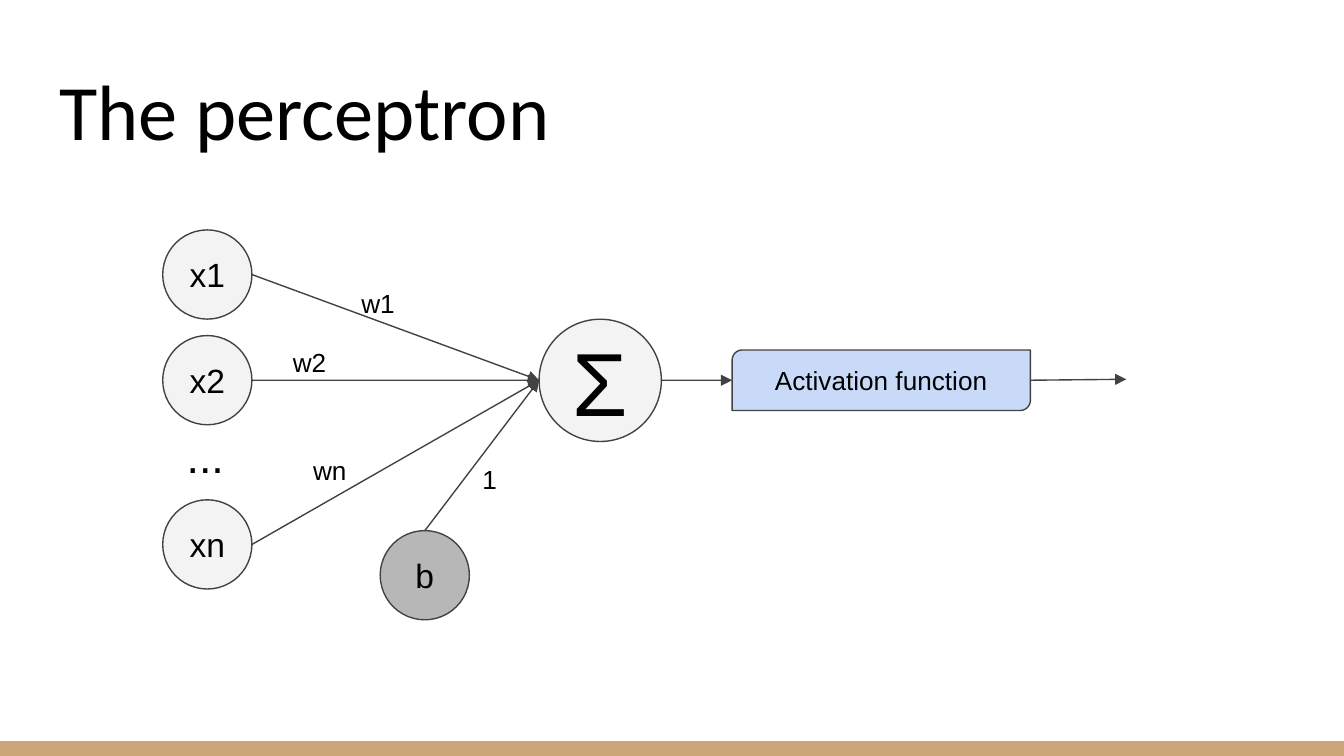
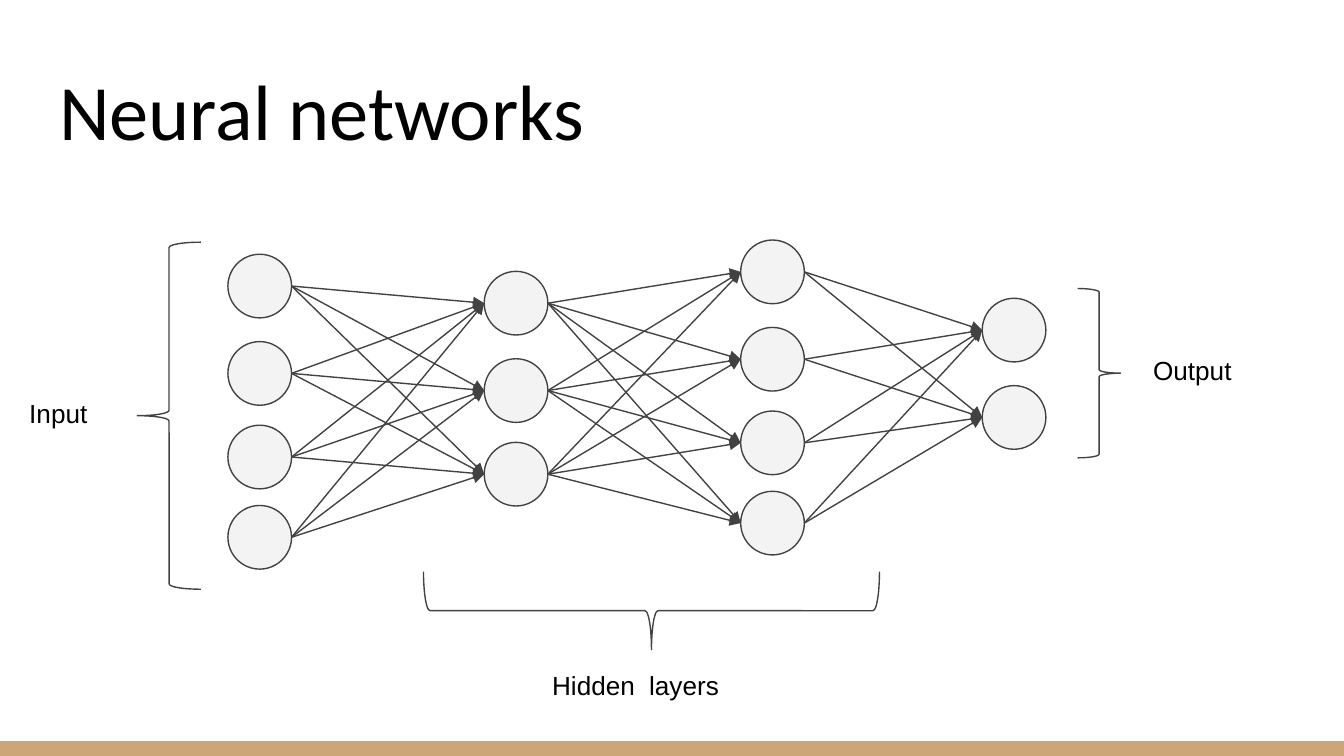
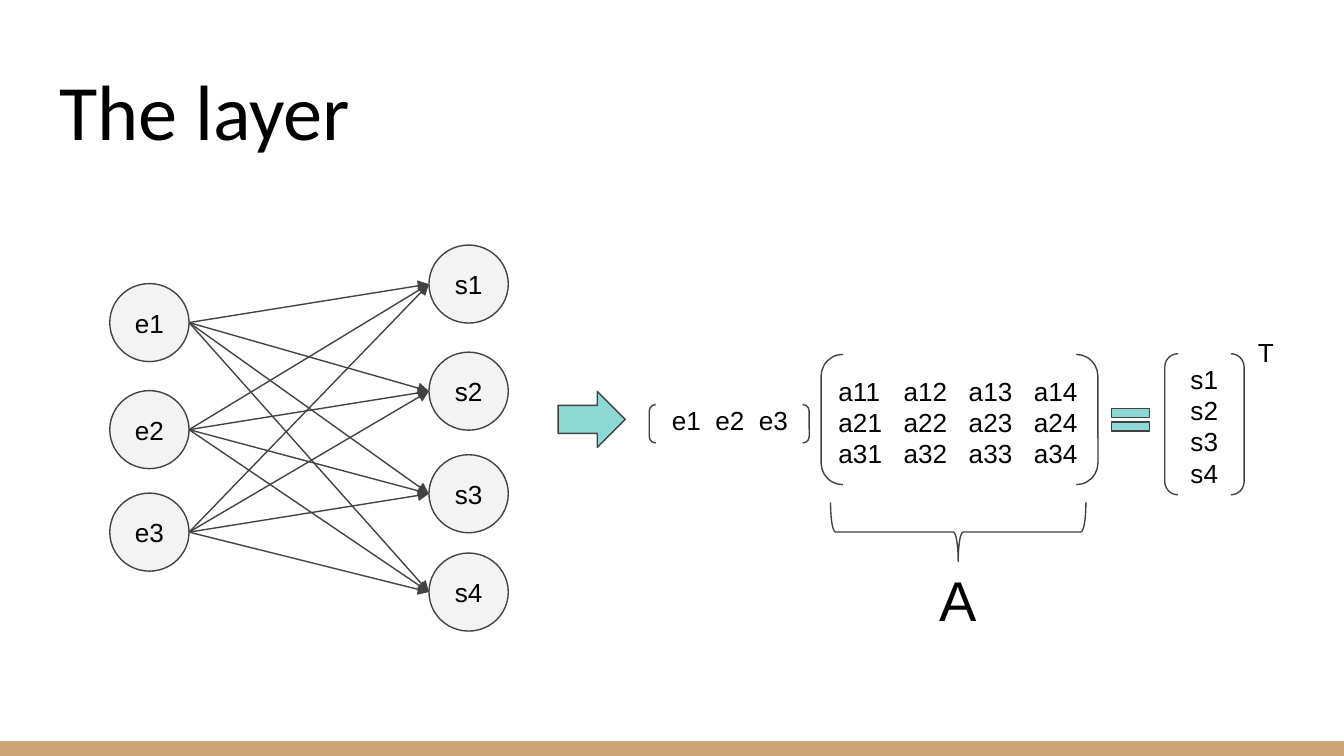
from dataclasses import dataclass
from itertools import pairwise, product
from typing import Any, Optional, Union

import lxml.etree
import pptx
import pptx.dml.color
import pptx.enum.shapes
import pptx.enum.text
import pptx.oxml.ns
import pptx.presentation
import pptx.shapes.autoshape
import pptx.shapes.shapetree
import pptx.slide
import pptx.text.text
import pptx.util

Pt = pptx.util.Pt
Preset = pptx.enum.shapes.MSO_SHAPE
Anchor = pptx.enum.text.MSO_ANCHOR
Align = pptx.enum.text.PP_ALIGN
qn = pptx.oxml.ns.qn
Canvas = Union[pptx.shapes.shapetree.SlideShapes, pptx.shapes.shapetree.GroupShapes]
Point = tuple[float, float]


@dataclass(frozen=True)
class Theme:
    ink: str = "000000"
    outline: str = "424242"
    band: str = "CCA677"
    node: str = "F3F3F3"
    bias: str = "B7B7B7"
    activation: str = "C9DAF8"
    accent: str = "8DD8D3"
    title_font: str = "Calibri"
    text_font: str = "Arial"
    title_size: float = 42
    label_size: float = 14
    input_size: float = 18
    dots_size: float = 24
    matrix_name_size: float = 30
    sum_size: float = 48
    line_width: float = 0.75
    inset: float = 7.2


THEME = Theme()
SLIDE_WIDTH, SLIDE_HEIGHT = 720, 405
BAND_HEIGHT = 7.9
TITLE_BOX = {"left": 24.5, "top": 25.2, "width": 671, "height": 65.5}
NODE_STEPS = (0, 46.8, 91.6, 134.6)  # offsets of stacked nodes at scale 1


@dataclass(frozen=True)
class Box:
    """A preset shape, with a text if it has one."""
    preset: Any
    left: float
    top: float
    width: float
    height: float
    fill: Optional[str] = None
    text: str = ""
    size: float = THEME.label_size
    rotation: float = 0

    @property
    def middle(self) -> float:
        return self.top + self.height / 2

    @property
    def left_side(self) -> Point:
        return self.left, self.middle

    @property
    def right_side(self) -> Point:
        return self.left + self.width, self.middle

    @property
    def top_side(self) -> Point:
        return self.left + self.width / 2, self.top


@dataclass(frozen=True)
class Label:
    """Free text; column_pitch sets the tab stops between columns."""
    text: str
    left: float
    top: float
    width: float
    height: float
    size: float = THEME.label_size
    column_pitch: float = 0


@dataclass(frozen=True)
class Layer:
    """A column of network nodes."""
    left: float
    top: float
    count: int
    width: float = 34.1
    height: float = 34.1
    scale: float = 1
    prefix: str = ""

    def nodes(self) -> list[Box]:
        return [
            Box(Preset.OVAL, self.left, self.top + step * self.scale, self.width, self.height,
                THEME.node, f"{self.prefix}{number}" if self.prefix else "")
            for number, step in enumerate(NODE_STEPS[:self.count], start=1)
        ]


def set_format(target: Any, values: dict[str, Any]) -> None:
    for name, value in values.items():
        setattr(target, name, value)


def color(code: str) -> pptx.dml.color.RGBColor:
    return pptx.dml.color.RGBColor.from_string(code)


def format_frame(frame: pptx.text.text.TextFrame, anchor: Any, wrap: bool) -> None:
    margins = {f"margin_{side}": Pt(THEME.inset) for side in ("left", "right", "top", "bottom")}
    set_format(frame, {**margins, "vertical_anchor": anchor, "word_wrap": wrap,
                       "auto_size": pptx.enum.text.MSO_AUTO_SIZE.NONE})


def write_line(paragraph: Any, text: str, size: float, font: str, alignment: Any) -> None:
    paragraph.alignment = alignment
    run = paragraph.add_run()
    run.text = text
    set_format(run.font, {"size": Pt(size), "name": font})
    run.font.color.rgb = color(THEME.ink)


def add_tab_stops(paragraph: Any, pitch: float, count: int) -> None:
    properties = paragraph._p.get_or_add_pPr()
    tab_list = lxml.etree.SubElement(properties, qn("a:tabLst"))
    for column in range(1, count + 1):
        lxml.etree.SubElement(tab_list, qn("a:tab"), pos=str(Pt(pitch * column)), algn="l")


def draw_box(canvas: Canvas, box: Box) -> pptx.shapes.autoshape.Shape:
    shape = canvas.add_shape(box.preset, Pt(box.left), Pt(box.top), Pt(box.width), Pt(box.height))
    shape.shadow.inherit = False
    shape.rotation = box.rotation
    if box.fill:
        shape.fill.solid()
        shape.fill.fore_color.rgb = color(box.fill)
    else:
        shape.fill.background()
    shape.line.color.rgb = color(THEME.outline)
    shape.line.width = Pt(THEME.line_width)
    if box.text:
        format_frame(shape.text_frame, Anchor.MIDDLE, wrap=False)
        write_line(shape.text_frame.paragraphs[0], box.text, box.size, THEME.text_font, Align.CENTER)
    return shape


def draw_label(canvas: Canvas, label: Label) -> None:
    textbox = canvas.add_textbox(Pt(label.left), Pt(label.top), Pt(label.width), Pt(label.height))
    frame = textbox.text_frame
    format_frame(frame, Anchor.TOP, wrap=True)
    for index, line in enumerate(label.text.split("\n")):
        paragraph = frame.add_paragraph() if index else frame.paragraphs[0]
        if label.column_pitch:
            add_tab_stops(paragraph, label.column_pitch, line.count("\t"))
        write_line(paragraph, line, label.size, THEME.text_font, Align.LEFT)


def draw_arrow(canvas: Canvas, start: Point, end: Point) -> None:
    connector = canvas.add_connector(
        pptx.enum.shapes.MSO_CONNECTOR.STRAIGHT, *(Pt(length) for length in (*start, *end)))
    connector.line.color.rgb = color(THEME.outline)
    connector.line.width = Pt(THEME.line_width)
    properties = connector.element.spPr
    lxml.etree.SubElement(properties.find(qn("a:ln")), qn("a:tailEnd"), type="triangle")
    lxml.etree.SubElement(properties, qn("a:effectLst"))


def draw_all(canvas: Canvas, items: list[Union[Box, Label]]) -> None:
    for item in items:
        if isinstance(item, Box):
            draw_box(canvas, item)
        else:
            draw_label(canvas, item)


def draw_network(canvas: Canvas, layers: list[Layer]) -> None:
    """Draw the nodes and join each layer fully to the next."""
    columns = [layer.nodes() for layer in layers]
    for column in columns:
        draw_all(canvas, column)
    for sources, targets in pairwise(columns):
        for target, source in product(targets, sources):
            draw_arrow(canvas, source.right_side, target.left_side)


def prepare_layout(layout: pptx.slide.SlideLayout) -> None:
    """Keep only the title placeholder and move it."""
    for placeholder in list(layout.placeholders):
        if placeholder.placeholder_format.idx == 0:
            set_format(placeholder, {name: Pt(length) for name, length in TITLE_BOX.items()})
        else:
            placeholder.element.getparent().remove(placeholder.element)


def add_layout_band(slide: pptx.slide.Slide) -> None:
    """Draw the bottom band and hand it to the layout that all slides share."""
    band = draw_box(slide.shapes, Box(Preset.RECTANGLE, 0, SLIDE_HEIGHT - BAND_HEIGHT,
                                      SLIDE_WIDTH, BAND_HEIGHT, THEME.band))
    band.line.fill.background()
    band.element.nvSpPr.cNvPr.id = 20
    slide.slide_layout.shapes.element.append(band.element)


def add_slide(presentation: pptx.presentation.Presentation, layout: pptx.slide.SlideLayout,
              title: str) -> pptx.slide.Slide:
    slide = presentation.slides.add_slide(layout)
    frame = slide.shapes.title.text_frame
    format_frame(frame, Anchor.BOTTOM, wrap=True)
    write_line(frame.paragraphs[0], title, THEME.title_size, THEME.title_font, Align.LEFT)
    return slide


def draw_perceptron(slide: pptx.slide.Slide) -> None:
    # Inputs, bias, sum and activation
    inputs = [Box(Preset.OVAL, 87.2, top, 47.8, 47.8, THEME.node, text, THEME.input_size)
              for text, top in (("x1", 123.2), ("x2", 179.8), ("xn", 267.8))]
    bias = Box(Preset.OVAL, 203.7, 284.3, 47.8, 47.8, THEME.bias, "b", THEME.input_size)
    total = Box(Preset.OVAL, 288.8, 171, 65.5, 65.5, THEME.node, "Σ", THEME.sum_size)
    activation = Box(Preset.ROUND_2_DIAG_RECTANGLE, 392.2, 187.5, 159.8, 32.4,
                     THEME.activation, "Activation function")
    draw_all(slide.shapes, [total, *inputs, bias, activation])

    # Flow from the inputs to the output
    starts = [node.right_side for node in inputs] + [bias.top_side]
    arrows = [(start, total.left_side) for start in starts]
    arrows += [(total.right_side, activation.left_side), (activation.right_side, (603.4, 203.2))]
    for start, end in arrows:
        draw_arrow(slide.shapes, start, end)

    # Weights
    weights = [("w1", 186.5, 146.9), ("w2", 149.8, 178.6), ("wn", 160.6, 236.2), ("1", 251.3, 241.2)]
    draw_all(slide.shapes, [Label(text, left, top, 37, 19.4) for text, left, top in weights])
    draw_label(slide.shapes, Label("...", 92.9, 222.5, 37, 19.4, THEME.dots_size))


def draw_neural_network(slide: pptx.slide.Slide) -> None:
    draw_network(slide.shapes, [
        Layer(122.1, 136.2, 4),
        Layer(259.4, 145.4, 3),
        Layer(396.8, 128.6, 4),
        Layer(526.2, 159.8, 2),
    ])
    # Names of the layers with their braces
    draw_all(slide.shapes, [
        Label("Input", 8.6, 205.9, 89.3, 33.8),
        Label("Output", 610.6, 182.9, 59, 43.9),
        Label("Hidden\tlayers", 288.7, 351.4, 119.5, 35.3, column_pitch=52),
        Box(Preset.RIGHT_BRACE, 328.1, 205, 41.8, 244.3, rotation=90),
        Box(Preset.RIGHT_BRACE, 577.3, 154.6, 23, 90.7),
        Box(Preset.LEFT_BRACE, 73.6, 129.8, 34, 185.9),
    ])


def draw_layer_product(slide: pptx.slide.Slide) -> None:
    node_format = {"width": 42.5, "height": 41.8, "scale": 1.226}
    draw_network(slide.shapes, [
        Layer(58.8, 151.9, 3, prefix="e", **node_format),
        Layer(229.8, 131.3, 4, prefix="s", **node_format),
    ])
    # Matrix and input vector, each grouped with its brackets
    matrix = "\n".join("\t".join(f"a{row}{column}" for column in range(1, 5)) for row in range(1, 4))
    for label, brackets in (
        (Label(matrix, 442.1, 193.7, 157, 61.9, column_pitch=34.9),
         Box(Preset.DOUBLE_BRACKET, 439.9, 189.9, 148.3, 69.8)),
        (Label("e1\te2\te3", 352.8, 209.5, 99.4, 30.2, column_pitch=23.3),
         Box(Preset.DOUBLE_BRACKET, 347.8, 216.7, 85.7, 20.6)),
    ):
        draw_all(slide.shapes.add_group_shape().shapes, [label, brackets])

    # Signs, output vector and matrix name
    draw_all(slide.shapes, [
        Box(Preset.RIGHT_ARROW, 299, 209.7, 36, 30, THEME.accent),
        Box(Preset.MATH_EQUAL, 591.8, 214.4, 27.6, 20.9, THEME.accent),
        Label("s1\ns2\ns3\ns4", 630.7, 187.2, 36, 75.6),
        Box(Preset.DOUBLE_BRACKET, 624, 189.5, 42.5, 75.6),
        Box(Preset.LEFT_BRACE, 497.5, 216.6, 31.7, 136.8, rotation=270),
        Label("A", 496.1, 295.9, 36, 46.1, THEME.matrix_name_size),
        Label("T", 666.7, 172.8, 27.4, 30.2),
    ])


def main() -> None:
    presentation = pptx.Presentation()
    set_format(presentation, {"slide_width": Pt(SLIDE_WIDTH), "slide_height": Pt(SLIDE_HEIGHT)})
    layout = presentation.slide_layouts.get_by_name("Title Only")
    prepare_layout(layout)
    for title, draw_content in (
        ("The perceptron", draw_perceptron),
        ("Neural networks", draw_neural_network),
        ("The layer", draw_layer_product),
    ):
        draw_content(add_slide(presentation, layout, title))
    add_layout_band(presentation.slides[0])
    presentation.save("out.pptx")


if __name__ == "__main__":
    main()
